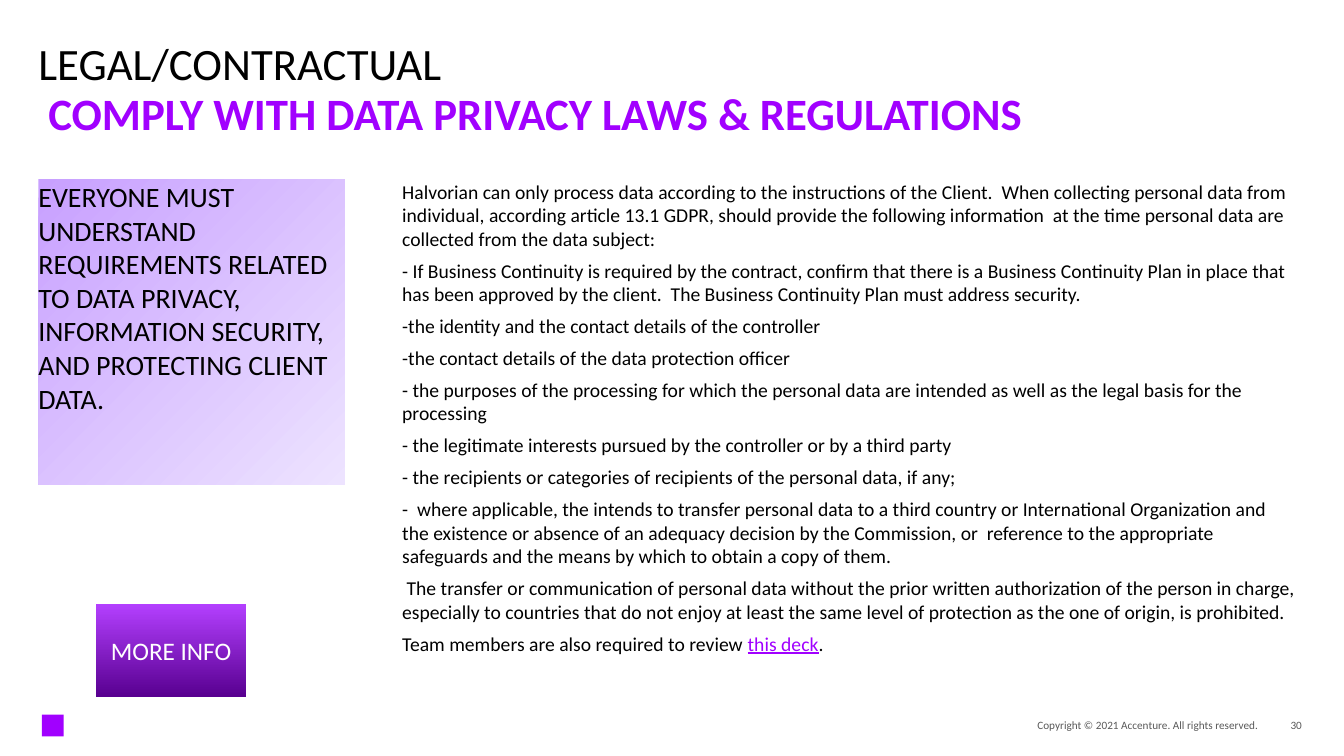
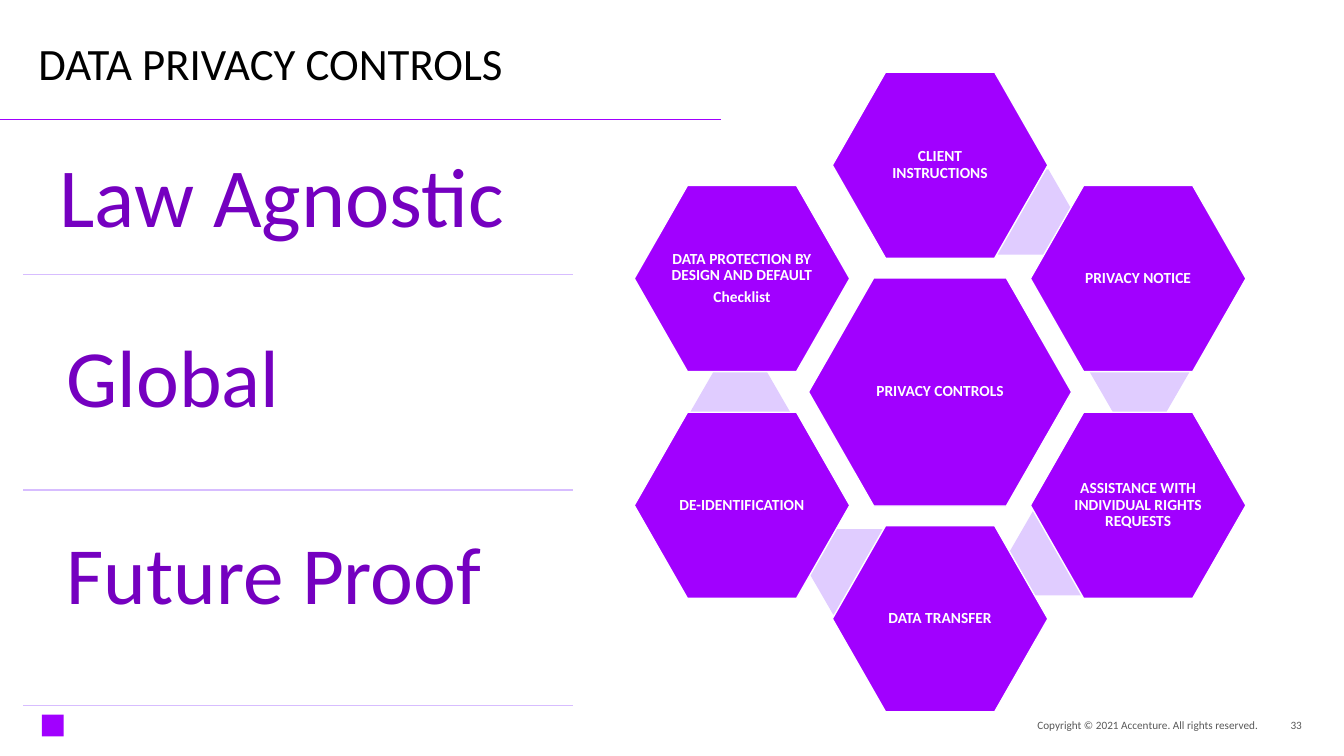
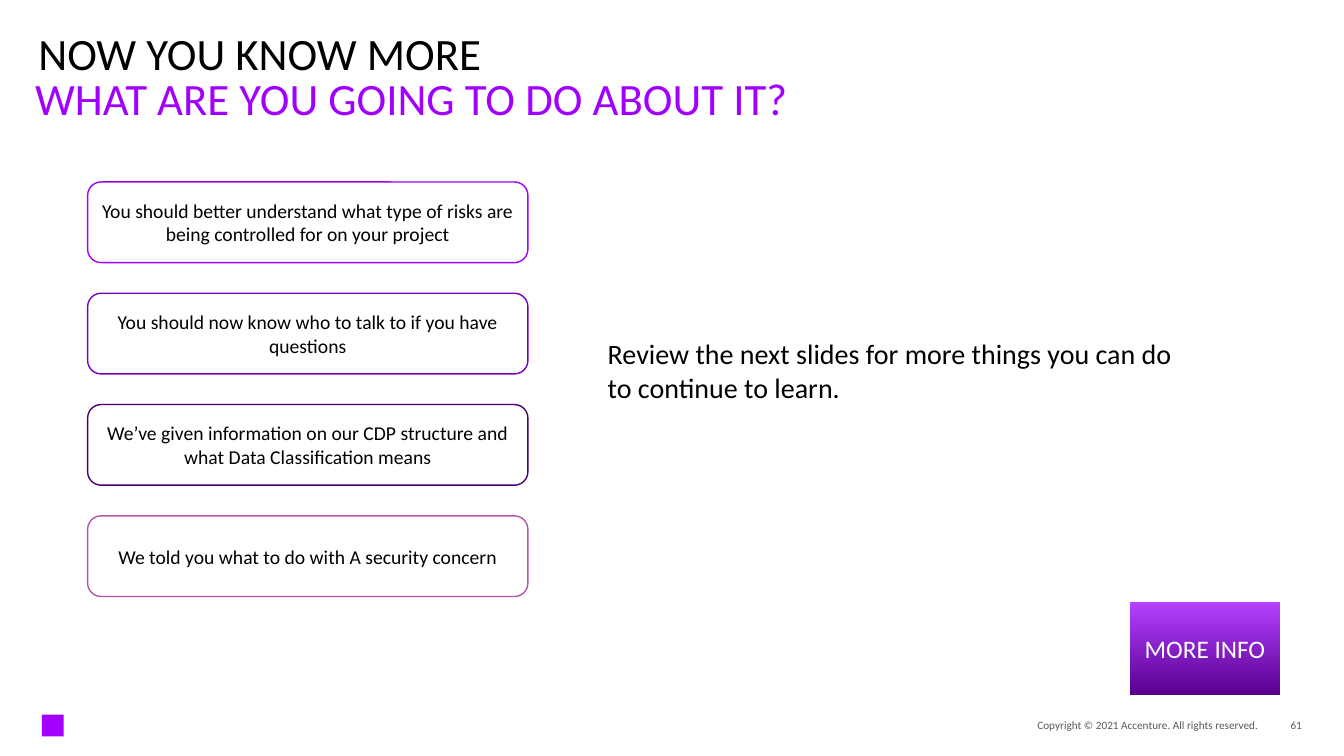
"""Build three data privacy slides that share titles, footers and buttons."""
from lxml.etree import SubElement
from pptx import Presentation
from pptx.dml.color import RGBColor
from pptx.enum.shapes import MSO_CONNECTOR, MSO_SHAPE
from pptx.enum.text import MSO_ANCHOR, PP_ALIGN
from pptx.oxml.ns import qn
from pptx.util import Pt

FONT = "Calibri"
BLACK = RGBColor(0x00, 0x00, 0x00)
WHITE = RGBColor(0xFF, 0xFF, 0xFF)
GREY = RGBColor(0x59, 0x59, 0x59)
PURPLE = RGBColor(0xA1, 0x00, 0xFF)
DEEP_PURPLE = RGBColor(0x75, 0x00, 0xC0)
DARK_PURPLE = RGBColor(0x46, 0x00, 0x73)
PINK = RGBColor(0xB4, 0x55, 0xAA)
LILAC = RGBColor(0xE0, 0xCC, 0xFF)
RULE_LILAC = RGBColor(0xD7, 0xBD, 0xFF)
PANEL_START = RGBColor(0xC8, 0xA0, 0xFF)
PANEL_END = RGBColor(0xED, 0xE3, 0xFF)
BUTTON_START = RGBColor(0x58, 0x00, 0x90)
BUTTON_END = RGBColor(0xB4, 0x40, 0xFF)

COPYRIGHT = "Copyright © 2021 Accenture. All rights reserved."
PRIVACY_RULES = [
    "Halvorian can only process data according to the instructions of the Client.  When collecting personal data from individual, according article 13.1 GDPR, should provide the following information  at the time personal data are collected from the data subject:",
    "- If Business Continuity is required by the contract, confirm that there is a Business Continuity Plan in place that has been approved by the client.  The Business Continuity Plan must address security.",
    "-the identity and the contact details of the controller",
    "-the contact details of the data protection officer",
    "- the purposes of the processing for which the personal data are intended as well as the legal basis for the processing",
    "- the legitimate interests pursued by the controller or by a third party",
    "- the recipients or categories of recipients of the personal data, if any;",
    "-  where applicable, the intends to transfer personal data to a third country or International Organization and the existence or absence of an adequacy decision by the Commission, or  reference to the appropriate safeguards and the means by which to obtain a copy of them.",
    " The transfer or communication of personal data without the prior written authorization of the person in charge, especially to countries that do not enjoy at least the same level of protection as the one of origin, is prohibited.",
    "Team members are also required to review ",
]
HEX_CENTRE = (671.5, 280)
HEX_SIZE = (154, 133)
HEX_STEP_X, HEX_STEP_Y = 141.5, 81
CONTROLS = [
    (0, -2, ["CLIENT INSTRUCTIONS"]),
    (1, -1, ["PRIVACY NOTICE"]),
    (1, 1, ["ASSISTANCE WITH INDIVIDUAL RIGHTS REQUESTS"]),
    (0, 2, ["DATA TRANSFER"]),
    (-1, 1, ["DE-IDENTIFICATION"]),
    (-1, -1, ["DATA PROTECTION BY DESIGN AND DEFAULT", "Checklist"]),
]
BRIDGES = [(695.5, 121), (778.5, 235.5), (720.7, 364.3), (577.5, 378), (493.2, 263.5)]
PRINCIPLES = [
    ("Law Agnostic", 60, (24.5, 93, 490, 104), 18),
    ("Global", 58, (30.2, 224, 384, 147), 17.3),
    ("Future Proof", 58, (30.2, 364.3, 384, 147), 17.3),
]
TAKEAWAYS = [
    ("You should better understand what type of risks are being controlled for on your project", PURPLE),
    ("You should now know who to talk to if you have questions", DEEP_PURPLE),
    ("We’ve given information on our CDP structure and what Data Classification means", DARK_PURPLE),
    ("We told you what to do with A security concern", PINK),
]


def write(shape, texts, size, color=BLACK, bold=False, align=PP_ALIGN.LEFT,
          anchor=MSO_ANCHOR.TOP, insets=(0, 0), spacing=None, before=0, after=0):
    """Fill a shape with evenly styled paragraphs and return its text frame."""
    frame = shape.text_frame
    frame.word_wrap = True
    frame.vertical_anchor = anchor
    frame.margin_left = frame.margin_right = Pt(insets[0])
    frame.margin_top = frame.margin_bottom = Pt(insets[1])
    for index, text in enumerate(texts):
        paragraph = frame.add_paragraph() if index else frame.paragraphs[0]
        paragraph.add_run().text = text
        paragraph.alignment = align
        paragraph.line_spacing = spacing
        paragraph.space_before = Pt(before if index else 0)
        paragraph.space_after = Pt(after)
        font = paragraph.font
        font.name, font.size, font.bold = FONT, Pt(size), bold
        font.color.rgb = color
    return frame


def add_text(slide, box, texts, size, **style):
    """Add a wrapped text box."""
    return write(slide.shapes.add_textbox(*map(Pt, box)), texts, size, **style)


def add_block(slide, kind, box, fill=None, line=None):
    """Add a flat preset shape with an optional outline."""
    block = slide.shapes.add_shape(kind, *map(Pt, box))
    block.shadow.inherit = False
    if fill is not None:
        block.fill.solid()
        block.fill.fore_color.rgb = fill
    if line is None:
        block.line.fill.background()
    else:
        block.line.color.rgb = line
        block.line.width = Pt(1)
    return block


def add_gradient_block(slide, box, start, end, angle):
    """Add a rectangle with a two-colour gradient."""
    block = add_block(slide, MSO_SHAPE.RECTANGLE, box)
    block.fill.gradient()
    block.fill.gradient_angle = angle
    for stop, color in zip(block.fill.gradient_stops, (start, end)):
        stop.color.rgb = color
    return block


def add_hexagon(slide, box, fill, line=None, adjust=0.286):
    """Add a regular hexagon."""
    hexagon = add_block(slide, MSO_SHAPE.HEXAGON, box, fill, line)
    hexagon.adjustments[0] = adjust
    return hexagon


def add_control(slide, centre, size, texts):
    """Add a labelled hexagon around a centre point."""
    box = (centre[0] - size[0] / 2, centre[1] - size[1] / 2, *size)
    write(add_hexagon(slide, box, PURPLE, WHITE), texts, 11, color=WHITE, bold=True,
          align=PP_ALIGN.CENTER, anchor=MSO_ANCHOR.MIDDLE, insets=(1.1, 1.1),
          spacing=0.9, after=4)


def add_rule(slide, left, right, top, color):
    """Add a thin horizontal line."""
    rule = slide.shapes.add_connector(MSO_CONNECTOR.STRAIGHT, Pt(left), Pt(top), Pt(right), Pt(top))
    rule.line.color.rgb = color
    rule.line.width = Pt(1)
    SubElement(rule._element.spPr, qn("a:effectLst"))


def add_more_info(slide, left, top):
    """Add the button for more information."""
    button = add_gradient_block(slide, (left, top, 107.5, 66.5), BUTTON_START, BUTTON_END, 90)
    write(button, ["MORE INFO"], 18, color=WHITE, align=PP_ALIGN.CENTER, anchor=MSO_ANCHOR.MIDDLE)


def add_subtitle(slide, left, top, text, bold=False):
    """Add the purple second line of a title."""
    add_text(slide, (left, top, 905, 28), [text], 32, color=PURPLE, bold=bold, insets=(7.2, 3.6))


def start_slide(deck, title, number, title_top=30):
    """Add a blank slide with its title, corner mark and footer."""
    slide = deck.slides.add_slide(deck.slide_layouts[6])
    add_block(slide, MSO_SHAPE.RECTANGLE, (30, 510.5, 15.5, 15.5), PURPLE)
    for left, width, text in ((649.5, 249.5, COPYRIGHT), (900, 30, str(number))):
        add_text(slide, (left, 513.5, width, 9.5), [text], 8, color=GREY,
                 align=PP_ALIGN.RIGHT, anchor=MSO_ANCHOR.BOTTOM)
    add_text(slide, (27.4, title_top, 902, 34.5), [title], 32, spacing=0.9)
    return slide


def build_legal(deck):
    """Build the slide on privacy laws."""
    slide = start_slide(deck, "LEGAL/CONTRACTUAL", 30)
    rules = add_text(slide, (287.3, 128.2, 639.4, 405), PRIVACY_RULES, 14, before=6)
    review = rules.paragraphs[-1]
    deck_mention = review.add_run()
    deck_mention.text = "this deck"
    deck_mention.font.underline = True
    deck_mention.font.color.rgb = PURPLE
    review.add_run().text = "."
    add_subtitle(slide, 27.4, 57.6, "COMPLY WITH DATA PRIVACY LAWS & REGULATIONS", bold=True)
    panel = add_gradient_block(slide, (27.4, 128.2, 219, 218.2), PANEL_START, PANEL_END, 315)
    write(panel, ["EVERYONE MUST UNDERSTAND REQUIREMENTS RELATED TO DATA PRIVACY, INFORMATION SECURITY, AND PROTECTING CLIENT DATA."], 20)
    add_more_info(slide, 68.5, 431.3)


def build_controls(deck):
    """Build the slide with the ring of privacy controls."""
    slide = start_slide(deck, "DATA PRIVACY CONTROLS", 33)
    for left, top in BRIDGES:
        add_hexagon(slide, (left, top, 71, 61), LILAC, adjust=0.289)
    add_control(slide, HEX_CENTRE, (188, 163), ["PRIVACY CONTROLS"])
    for column, row, texts in CONTROLS:
        centre = (HEX_CENTRE[0] + column * HEX_STEP_X, HEX_CENTRE[1] + row * HEX_STEP_Y)
        add_control(slide, centre, HEX_SIZE, texts)
    add_rule(slide, 0, 515, 85.3, PURPLE)
    for index, (principle, size, box, inset) in enumerate(PRINCIPLES):
        add_text(slide, box, [principle], size, color=DEEP_PURPLE, insets=(inset, inset), spacing=0.9)
        add_rule(slide, 16.6, 409, 196 + 154 * index, RULE_LILAC)


def build_next_steps(deck):
    """Build the closing slide with the takeaways."""
    slide = start_slide(deck, "NOW YOU KNOW MORE", 61, title_top=23)
    add_subtitle(slide, 18, 46.8, "WHAT ARE YOU GOING TO DO ABOUT IT?")
    add_more_info(slide, 807, 430)
    for index, (takeaway, outline) in enumerate(TAKEAWAYS):
        card = add_block(slide, MSO_SHAPE.FLOWCHART_ALTERNATE_PROCESS,
                         (62.6, 130 + 79.5 * index, 314.5, 57.6), WHITE, outline)
        write(card, [takeaway], 14, align=PP_ALIGN.CENTER, anchor=MSO_ANCHOR.MIDDLE, insets=(7.2, 3.6))
    add_text(slide, (427, 237, 434, 60.5),
             ["Review the next slides for more things you can do to continue to learn."],
             20, insets=(7.2, 3.6))


def main():
    """Build and save the deck."""
    deck = Presentation()
    deck.slide_width, deck.slide_height = Pt(960), Pt(540)
    build_legal(deck)
    build_controls(deck)
    build_next_steps(deck)
    deck.save("out.pptx")


if __name__ == "__main__":
    main()
